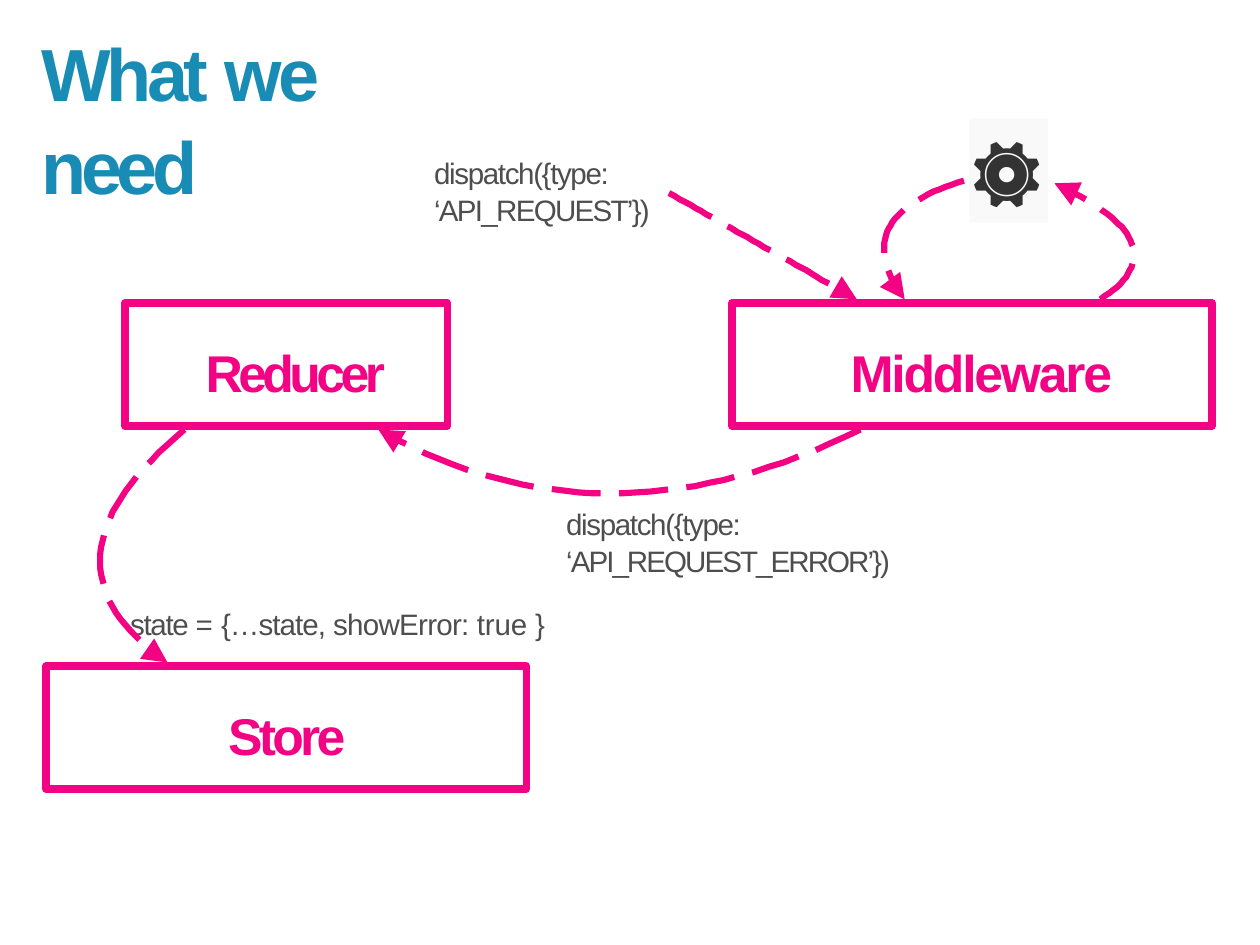
from math import hypot
from pptx import Presentation
from pptx.dml.color import RGBColor
from pptx.enum.dml import MSO_LINE
from pptx.enum.shapes import MSO_SHAPE
from pptx.enum.text import MSO_ANCHOR, MSO_AUTO_SIZE, PP_ALIGN
from pptx.util import Pt

PX = 9144
COLORS = {"title": "198CB5", "accent": "F30284", "text": "4E4E4E",
          "gear": "333333", "tile": "F9F9F9"}
HEAD_LENGTH, HEAD_HALF, SHAFT_GAP, STEPS = 28, 14, 25, 32


def rgb(name):
    return RGBColor.from_string(COLORS[name])


def emu(*lengths):
    return [round(n * PX) for n in lengths]


def setup_frame(tf, top=0):
    tf.word_wrap = True
    tf.auto_size = MSO_AUTO_SIZE.NONE
    tf.vertical_anchor = MSO_ANCHOR.TOP
    tf.margin_left = tf.margin_right = tf.margin_bottom = 0
    tf.margin_top = top * PX


def write(p, runs, size, color, bold=False, font="Arial", indent=1,
          align=PP_ALIGN.LEFT, before=0, spacing=1.05):
    p.alignment = align
    p.space_before = Pt(before)
    p.line_spacing = spacing
    pPr = p._p.get_or_add_pPr()
    pPr.set("marL", str(indent * PX))
    pPr.set("indent", "0")
    for text, tracking in runs:
        r = p.add_run()
        r.text = text
        r.font.name = font
        r.font.size = Pt(size)
        r.font.bold = bold
        r.font.color.rgb = rgb(color)
        r._r.get_or_add_rPr().set("spc", str(round(tracking * 100)))


def add_title(s, box, runs):
    sp = s.shapes.title
    sp.left, sp.top, sp.width, sp.height = emu(*box)
    setup_frame(sp.text_frame, 9)
    write(sp.text_frame.paragraphs[0], runs, 60, "title", bold=True)


def add_label(s, box, lines):
    tf = s.shapes.add_textbox(*emu(*box)).text_frame
    setup_frame(tf, 4)
    for i, (runs, indent, before) in enumerate(lines):
        p = tf.add_paragraph() if i else tf.paragraphs[0]
        write(p, runs, 24, "text", indent=indent, before=before)


def add_node(s, box, name, tracking, **fmt):
    sp = s.shapes.add_shape(MSO_SHAPE.RECTANGLE, *emu(*box))
    sp.shadow.inherit = False
    sp.fill.background()
    sp.line.color.rgb = rgb("accent")
    sp.line.width = Pt(6)
    setup_frame(sp.text_frame, 39)
    write(sp.text_frame.paragraphs[0], [(name, tracking)], 42, "accent", bold=True, **fmt)


def add_gear(s, box):
    sp = s.shapes.add_shape(MSO_SHAPE.RECTANGLE, *emu(*box))
    sp.shadow.inherit = False
    sp.fill.solid()
    sp.fill.fore_color.rgb = rgb("tile")
    sp.line.fill.background()
    setup_frame(sp.text_frame)
    write(sp.text_frame.paragraphs[0], [("⚙", 3.5)], 64, "gear", font="Open Sans", spacing=1.0)


def add_outline(s, points, close):
    builder = s.shapes.build_freeform(*points[0], scale=PX)
    builder.add_line_segments(points[1:], close=close)
    sp = builder.convert_to_shape()
    sp.shadow.inherit = False
    return sp


def add_arrow(s, start, bend, end):
    reach = hypot(end[0] - bend[0], end[1] - bend[1])
    ux, uy = [(e - b) / reach for e, b in zip(end, bend)]
    stop = 1 - SHAFT_GAP / (2 * reach)
    points = []
    for i in range(STEPS + 1):
        t = stop * i / STEPS
        points.append(tuple((1 - t) ** 2 * a + 2 * t * (1 - t) * b + t * t * c
                            for a, b, c in zip(start, bend, end)))
    shaft = add_outline(s, points, False)
    shaft.fill.background()
    shaft.line.color.rgb = rgb("accent")
    shaft.line.width = Pt(5)
    shaft.line.dash_style = MSO_LINE.LONG_DASH

    bx, by = end[0] - HEAD_LENGTH * ux, end[1] - HEAD_LENGTH * uy
    corners = [(bx - side * uy, by + side * ux) for side in (HEAD_HALF, -HEAD_HALF)]
    head = add_outline(s, [end] + corners, True)
    head.fill.solid()
    head.fill.fore_color.rgb = rgb("accent")
    head.line.fill.background()


def build_flow_slide(prs):
    s = prs.slides.add_slide(prs.slide_layouts[5])
    add_title(s, (46, 17, 477, 103), [("What ", -3.7), ("we ", -2.9), ("need", -4.5)])
    add_label(s, (489, 169, 446, 43), [
        ([("dispatch({type: ", -1.1), ("‘API_REQUEST’})", -1.4)], 1, 0)])
    add_label(s, (146, 565, 1058, 112), [
        ([("dispatch({type: ", -1.1), ("‘API_REQUEST_ERROR’})", -1.6)], 493, 0),
        ([("state ", -1.1), ("= ", 0), ("{…state, ", -0.8),
          ("showError: ", -0.6), ("true }", -0.1)], 1, 21.2)])
    add_node(s, (141, 342, 364, 139), "Reducer", -3.7, indent=91)
    add_node(s, (52, 752, 542, 139), "Store", -3, align=PP_ALIGN.CENTER)
    add_node(s, (826, 342, 542, 139), "Middleware", -1.8, indent=134)
    add_gear(s, (1094, 134, 89, 117))
    for start, bend, end in [
        ((755, 218), (861, 278), (967, 338)),
        ((1242, 338), (1338, 276), (1190, 207)),
        ((1088, 204), (952, 245), (1021, 338)),
        ((208, 485), (28, 636), (189, 748)),
        ((971, 485), (681, 629), (427, 485)),
    ]:
        add_arrow(s, start, bend, end)


def main():
    prs = Presentation()
    prs.slide_width, prs.slide_height = emu(1422, 1067)
    build_flow_slide(prs)
    prs.save("out.pptx")


if __name__ == "__main__":
    main()
